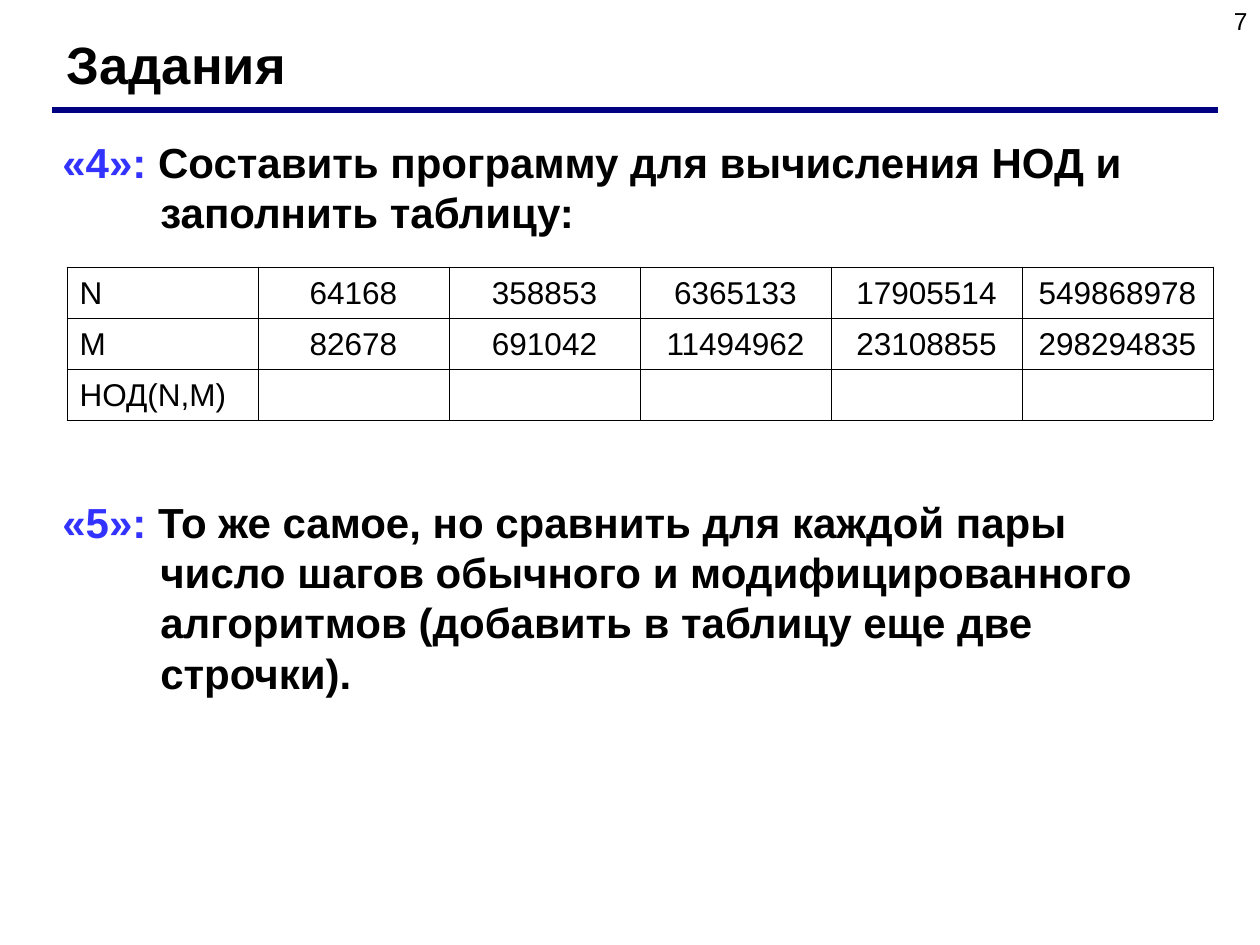
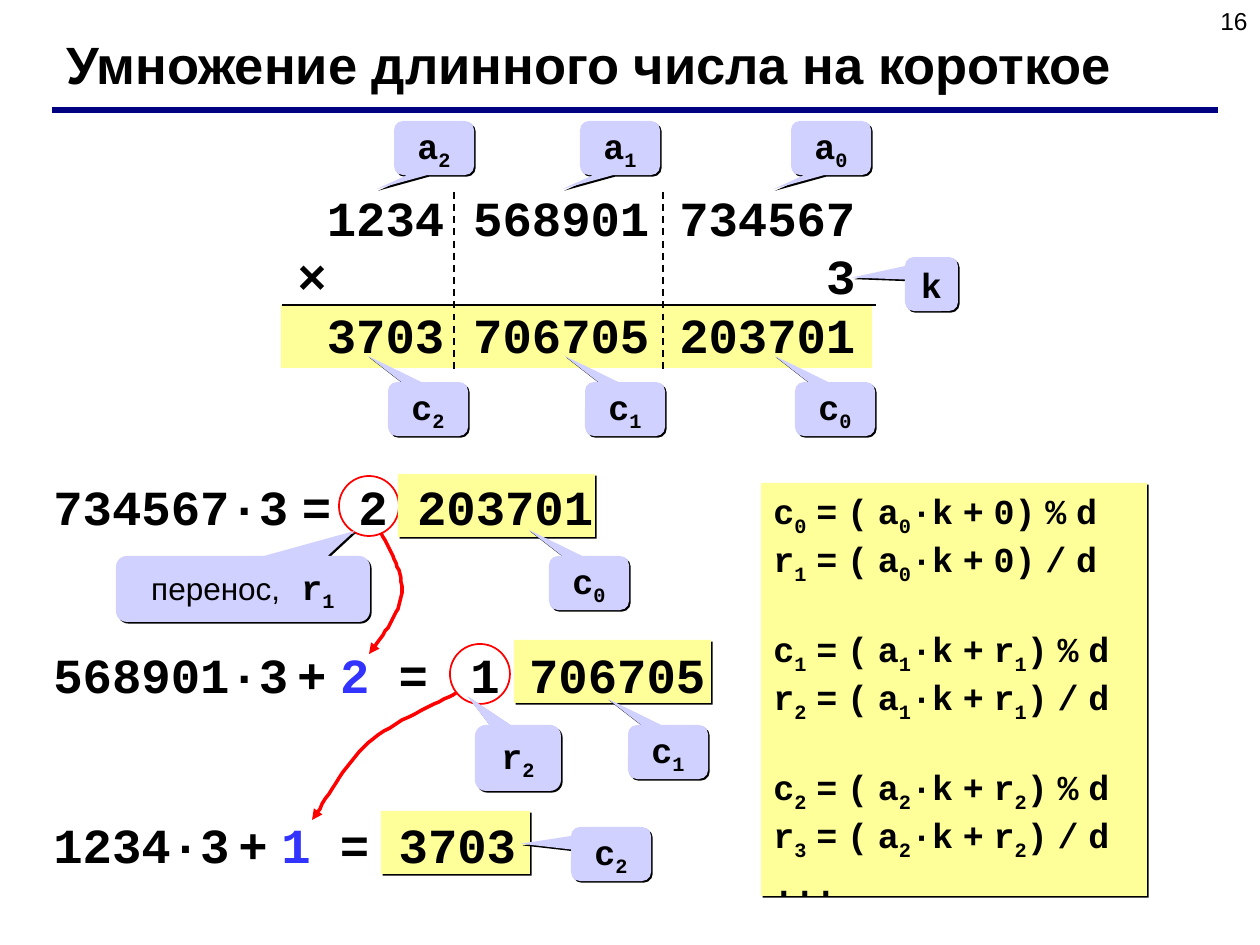
from lxml import etree
from pptx import Presentation
from pptx.dml.color import RGBColor
from pptx.enum.dml import MSO_LINE
from pptx.enum.shapes import MSO_CONNECTOR, MSO_SHAPE
from pptx.enum.text import MSO_ANCHOR, MSO_AUTO_SIZE, PP_ALIGN
from pptx.oxml import parse_xml
from pptx.oxml.ns import nsdecls, qn
from pptx.util import Emu, Pt

BLACK = RGBColor(0x00, 0x00, 0x00)
WHITE = RGBColor(0xFF, 0xFF, 0xFF)
NAVY = RGBColor(0x00, 0x00, 0x80)
BLUE = RGBColor(0x33, 0x33, 0xFF)
RED = RGBColor(0xFF, 0x00, 0x00)
YELLOW = RGBColor(0xFF, 0xFF, 0x99)
LILAC = RGBColor(0xD1, 0xD1, 0xFF)

SANS, MONO = "Arial", "Courier New"
LEFT, CENTER, RIGHT = PP_ALIGN.LEFT, PP_ALIGN.CENTER, PP_ALIGN.RIGHT
TOP, MIDDLE = MSO_ANCHOR.TOP, MSO_ANCHOR.MIDDLE
RECT, OVAL = MSO_SHAPE.RECTANGLE, MSO_SHAPE.OVAL
CALLOUT = MSO_SHAPE.ROUNDED_RECTANGULAR_CALLOUT
STRAIGHT, DASH = MSO_CONNECTOR.STRAIGHT, MSO_LINE.DASH
NO_AUTOFIT = MSO_AUTO_SIZE.NONE

SCALE = 914400 / 126
LEADING, SUB_LEADING = 1.2, 1.37
TITLE_ONLY = 5

# Text is marked up as {style|words}
SPAN_STYLES = {
    "sub": {"baseline": "-25000"},
    "blue": {"color": BLUE},
    "thin": {"font": SANS},
    "small": {"font": SANS, "size": 18},
}


def px(length):
    return Emu(round(length * SCALE))


def split_spans(text):
    """Yield (words, style) for each stretch of marked-up text."""
    for chunk in text.split("{"):
        marked, brace, plain = chunk.partition("}")
        if not brace:
            marked, plain = "", chunk
        style, _, words = marked.partition("|")
        if words:
            yield words, SPAN_STYLES[style]
        if plain:
            yield plain, {}


def bezier(start, *curves, steps=16):
    """Points along joined cubic curves, each given as three points."""
    points = [start]
    for first, second, end in curves:
        origin = points[-1]
        for step in range(1, steps + 1):
            t = step / steps
            weights = ((1 - t) ** 3, 3 * t * (1 - t) ** 2, 3 * t * t * (1 - t), t ** 3)
            nodes = (origin, first, second, end)
            points.append(tuple(sum(w * node[axis] for w, node in zip(weights, nodes))
                                for axis in (0, 1)))
    return points


class Deck:
    def __init__(self):
        self.deck = Presentation()
        self.deck.slide_width, self.deck.slide_height = px(1260), px(945)
        self.page = None

    def new_page(self, title, number):
        self.page = self.deck.slides.add_slide(self.deck.slide_layouts[TITLE_ONLY])
        holder = self.page.shapes.title
        holder.left, holder.top, holder.width, holder.height = map(px, (54, 26, 1121, 76))
        self.frame(holder)
        self.fill_para(holder.text_frame.paragraphs[0], title, 30, bold=True)
        self.text(966, 0, 294, 66, [str(number)], 14, bold=False, align=RIGHT)
        self.line(52, 110, 1218, 110, NAVY, 3)

    def frame(self, shape, anchor=TOP):
        frame = shape.text_frame
        frame.word_wrap = True
        frame.auto_size = NO_AUTOFIT
        frame.vertical_anchor = anchor
        return frame

    def fill_para(self, para, text, size, font=SANS, bold=False, align=LEFT,
                  leading=LEADING, before=0, tabs=(), hanging=0):
        props = para._p.get_or_add_pPr()
        if hanging:
            props.set("marL", str(px(hanging)))
            props.set("indent", str(-px(hanging)))
        if tabs:
            stops = etree.SubElement(props, qn("a:tabLst"))
            for position, side in tabs:
                etree.SubElement(stops, qn("a:tab"), pos=str(px(position)), algn=side)
        para.alignment = align
        if leading:
            para.line_spacing = Pt(round(size * leading, 1))
        para.space_before = Pt(before)
        para.font.name, para.font.size = font, Pt(size)
        para.font.bold = bold
        para.font.color.rgb = BLACK
        for words, style in split_spans(text):
            span = para.add_run()
            span.text = words
            if "font" in style:
                span.font.name = style["font"]
            if "size" in style:
                span.font.size = Pt(style["size"])
                span.font.bold = False
            if "color" in style:
                span.font.color.rgb = style["color"]
            if "baseline" in style:
                span._r.get_or_add_rPr().set("baseline", style["baseline"])

    def text(self, left, top, width, height, lines, size, font=SANS, bold=True,
             gap=0, **style):
        box = self.page.shapes.add_textbox(*map(px, (left, top, width, height)))
        frame = self.frame(box)
        for index, line in enumerate(lines):
            para = frame.add_paragraph() if index else frame.paragraphs[0]
            self.fill_para(para, line, size, font, bold, before=gap if index else 0, **style)

    def shape(self, kind, left, top, width, height, fill, outline=None, shadow=False):
        shape = self.page.shapes.add_shape(kind, *map(px, (left, top, width, height)))
        shape.fill.solid()
        shape.fill.fore_color.rgb = fill
        if outline:
            shape.line.color.rgb = outline
            shape.line.width = Pt(1)
        else:
            shape.line.fill.background()
        shape.shadow.inherit = False
        if shadow:
            shape._element.spPr.find(qn("a:effectLst")).append(parse_xml(
                f'<a:outerShdw {nsdecls("a")} dist="17780" dir="2700000" algn="ctr" '
                f'rotWithShape="0"><a:srgbClr val="{BLACK}"/></a:outerShdw>'))
        return shape

    def callout(self, left, top, label, tip, width=80, height=54):
        shape = self.shape(CALLOUT, left, top, width, height, LILAC, shadow=True)
        shape.adjustments[0], shape.adjustments[1] = tip
        para = self.frame(shape, MIDDLE).paragraphs[0]
        self.fill_para(para, label, 20, MONO, True, CENTER, leading=None)

    def line(self, x1, y1, x2, y2, color, width, dash=None):
        line = self.page.shapes.add_connector(STRAIGHT, *map(px, (x1, y1, x2, y2)))
        line.line.color.rgb, line.line.width = color, Pt(width)
        if dash:
            line.line.dash_style = dash
        etree.SubElement(line._element.spPr, qn("a:effectLst"))

    def curved_arrow(self, points):
        builder = self.page.shapes.build_freeform(*points[0], scale=SCALE)
        builder.add_line_segments(points[1:], close=False)
        arrow = builder.convert_to_shape()
        arrow.fill.background()
        arrow.line.color.rgb, arrow.line.width = RED, Pt(2)
        outline = arrow._element.spPr.find(qn("a:ln"))
        etree.SubElement(outline, qn("a:tailEnd"), type="triangle")
        arrow.shadow.inherit = False

    def table(self, left, top, column, row, rows):
        count = len(rows[0])
        table = self.page.shapes.add_table(
            len(rows), count, *map(px, (left, top, column * count, row * len(rows)))).table
        for cells, values in zip(table.rows, rows):
            cells.height = px(row)
            for index, (cell, value) in enumerate(zip(cells.cells, values)):
                props = cell._tc.get_or_add_tcPr()
                for side in "LRTB":
                    props.append(parse_xml(
                        f'<a:ln{side} {nsdecls("a")} w="5715"><a:solidFill>'
                        f'<a:srgbClr val="{BLACK}"/></a:solidFill></a:ln{side}>'))
                cell.fill.background()
                self.fill_para(cell.text_frame.paragraphs[0], value, 18,
                               align=CENTER if index else LEFT)
        for item in table.columns:
            item.width = px(column)


def build_tasks(deck):
    deck.new_page("Задания", 7)
    deck.text(50, 130, 1160, 573, [
        "{blue|«4»: }Составить программу для вычисления НОД и заполнить таблицу:",
        "{blue|«5»: }То же самое, но сравнить для каждой пары число шагов обычного "
        "и модифицированного алгоритмов (добавить в таблицу еще две строчки).",
    ], 24, gap=148, hanging=98)
    deck.table(67, 267, 191, 51, [
        ["N", "64168", "358853", "6365133", "17905514", "549868978"],
        ["M", "82678", "691042", "11494962", "23108855", "298294835"],
        ["НОД(N,M)"] + [""] * 5,
    ])


def build_multiplication(deck):
    deck.new_page("Умножение длинного числа на короткое", 16)
    above, below = (-0.72, 0.76), (-0.76, -0.99)

    # Column multiplication
    deck.shape(RECT, 281, 305, 591, 63, YELLOW)
    deck.text(285, 181, 600, 189, [
        "\t1234\t568901\t734567",
        "×\t\t\t3",
        "\t3703\t706705\t203701",
    ], 28, MONO, tabs=[(147, "r"), (352, "r"), (558, "r")])
    deck.line(282, 305, 876, 305, BLACK, 1.5)
    for x in (454, 663):
        deck.line(x, 192, x, 374, BLACK, 1, DASH)
    deck.callout(905, 257, "k", (-1.5, -0.12), width=53)
    for digit, (a_left, c_left) in enumerate([(791, 795), (580, 585), (394, 388)]):
        deck.callout(a_left, 121, f"a{{sub|{digit}}}", above)
        deck.callout(c_left, 382, f"c{{sub|{digit}}}", below)

    # Highlights behind the partial products
    for x, y in ((339, 476), (450, 644)):
        deck.shape(OVAL, x, y, 60, 60, WHITE, outline=RED)
    for x, y, width in ((398, 474, 197), (514, 640, 197), (381, 811, 149)):
        deck.shape(RECT, x, y, width, 63, YELLOW, shadow=True)

    # Partial products, with a tab stop at each carry
    for y, product, tabs in (
        (470, "734567·3{thin| }=\t2 203701", [(305, "l")]),
        (638, "568901·3{small| }+{thin| }{blue|2} =\t1 706705", [(417, "l")]),
        (808, "1234·3{small| }+{thin| }{blue|1} = 3703", []),
    ):
        deck.text(41, y, 700, 72, [product], 28, MONO, tabs=tabs)

    # Carries and result digits
    deck.callout(549, 556, "c{sub|0}", below)
    deck.callout(116, 556, "{small|перенос,} r{sub|1}", (0.44, -0.88), 254, 66)
    deck.curved_arrow(bezier((381, 533), ((392, 553), (403, 573), (402, 593)),
                             ((399, 614), (384, 634), (369, 654))))
    deck.curved_arrow(bezier((456, 693), ((441, 702), (392, 722), (368, 743)),
                             ((344, 764), (324, 804), (312, 820))))
    deck.callout(628, 725, "c{sub|1}", below)
    deck.callout(475, 725, "r{sub|2}", (-0.59, -0.94), 86, 66)
    deck.callout(571, 827, "c{sub|2}", (-1.13, -0.19))

    # General formulas
    panel = deck.shape(RECT, 761, 483, 386, 413, YELLOW, shadow=True)
    frame = deck.frame(panel)
    for digit in range(3):
        carry = f"r{{sub|{digit}}}" if digit else "0"
        for name, index, operator in (("c", digit, "%"), ("r", digit + 1, "/")):
            formula = f"{name}{{sub|{index}}} = ( a{{sub|{digit}}}·k + {carry}) {operator} d"
            first = digit == 0 and name == "c"
            para = frame.paragraphs[0] if first else frame.add_paragraph()
            deck.fill_para(para, formula.replace(" ", "{thin| }"), 20, MONO, True,
                           leading=SUB_LEADING, before=24 if digit and name == "c" else 0)
    deck.fill_para(frame.add_paragraph(), "...", 20, MONO, True)


def main():
    deck = Deck()
    build_tasks(deck)
    build_multiplication(deck)
    deck.deck.save("out.pptx")


if __name__ == "__main__":
    main()
